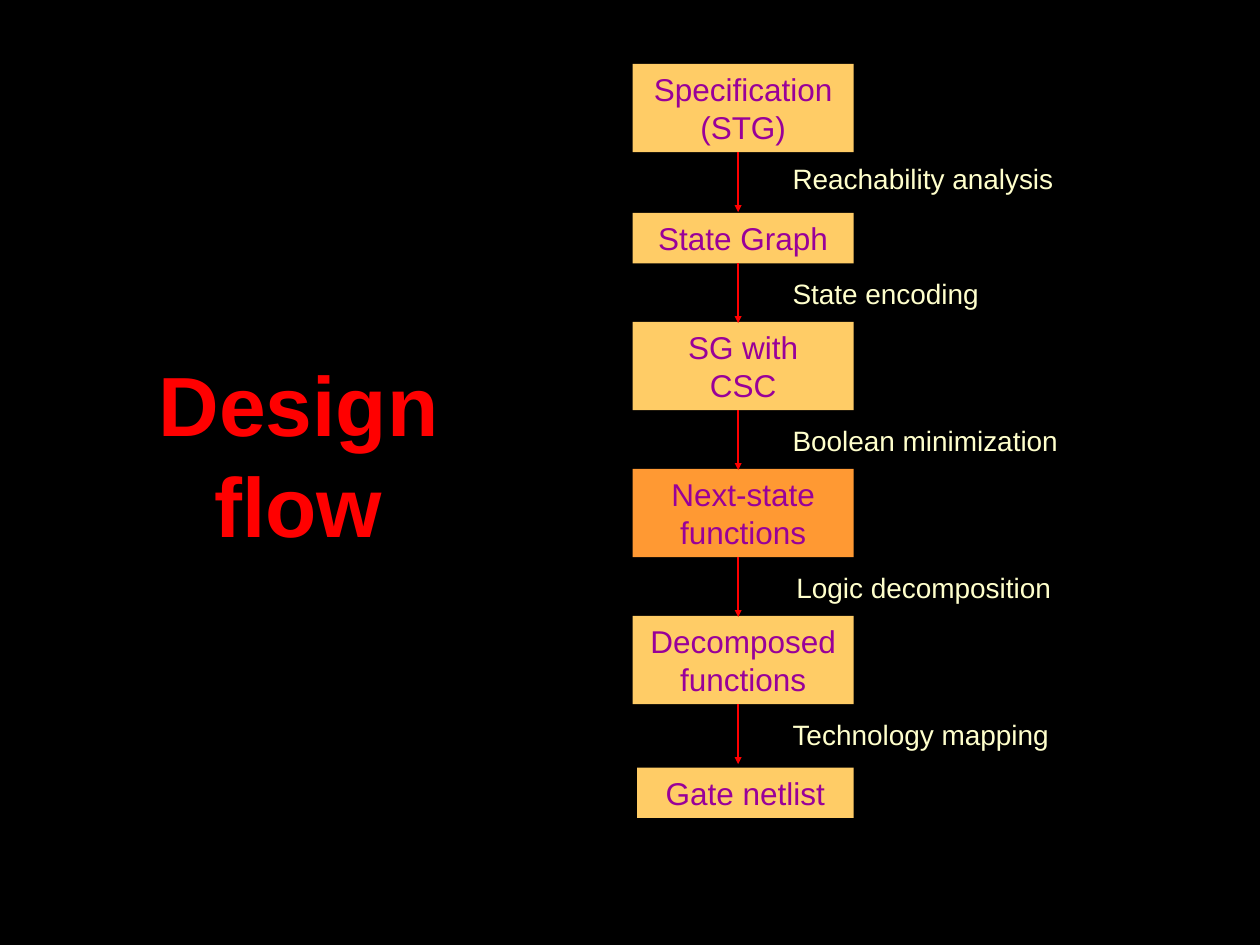
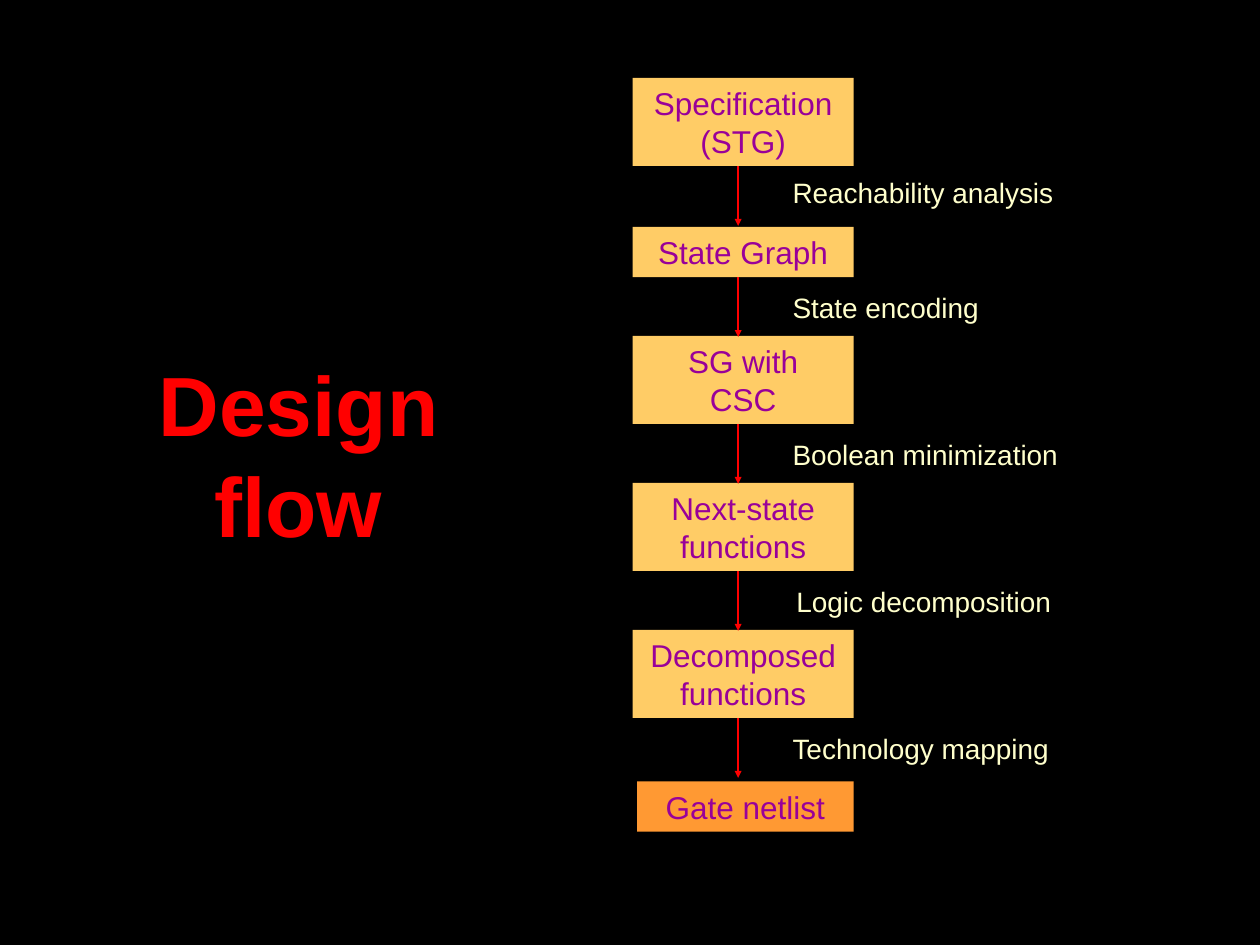
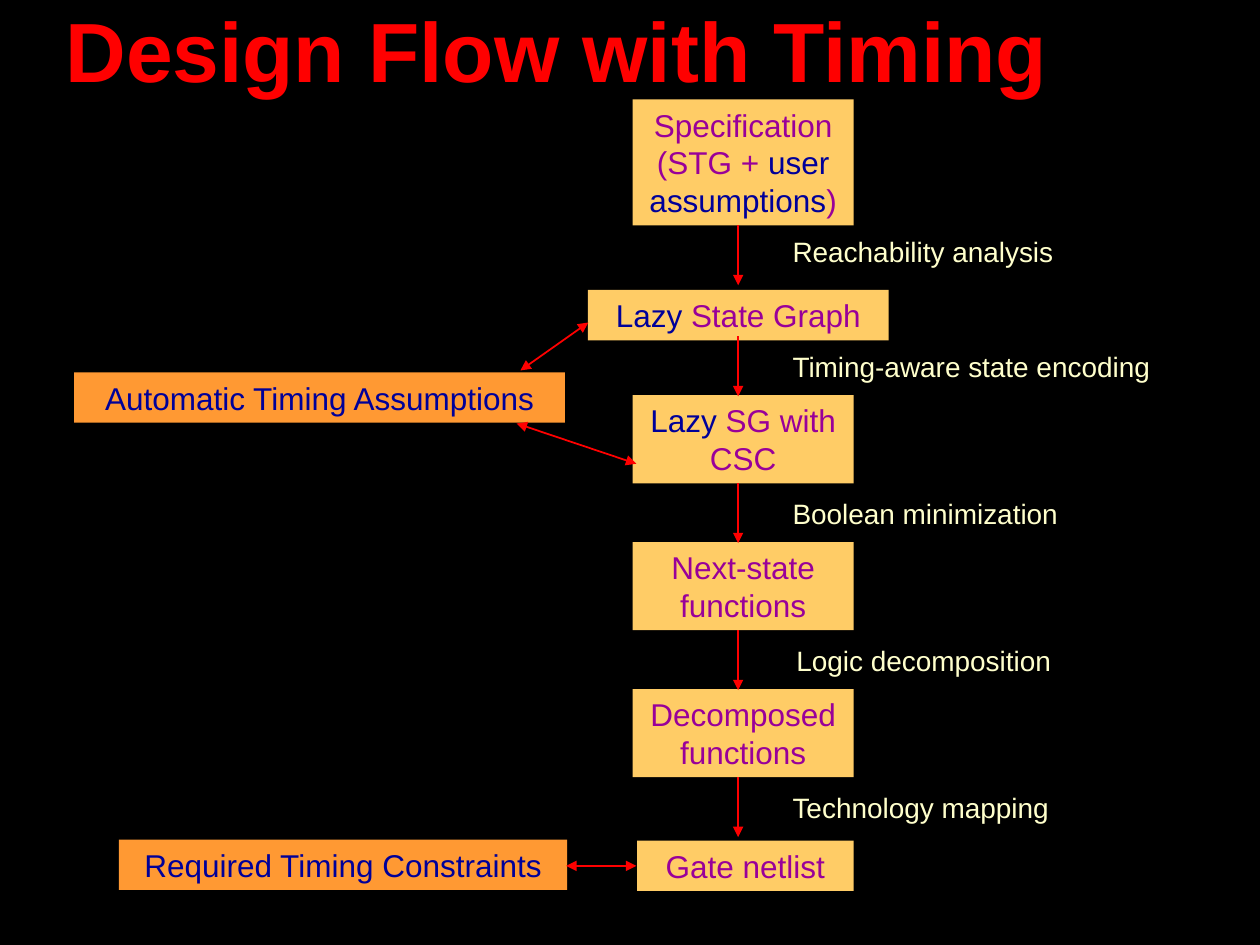
from pptx import Presentation
from pptx.dml.color import RGBColor
from pptx.enum.shapes import MSO_CONNECTOR as Line, MSO_SHAPE as Preset
from pptx.enum.text import MSO_ANCHOR as Anchor, MSO_AUTO_SIZE as AutoSize, PP_ALIGN as Align
from pptx.oxml.ns import qn
from pptx.util import Pt
from lxml.etree import SubElement

FONT = "Arial"
BLACK, RED, CREAM = "000000", "FF0000", "FFFFCC"
PURPLE, NAVY = "990099", "000099"
SAND, ORANGE = "FFCC66", "FF9933"

STAGES = ["Specification\n(STG)", "State Graph", "SG with\nCSC",
          "Next-state\nfunctions", "Decomposed\nfunctions", "Gate netlist"]
TIMED_STAGES = [
    [("Specification\n(STG + ", PURPLE), ("user\nassumptions", NAVY), (")", PURPLE)],
    [("Lazy", NAVY), (" State Graph", PURPLE)],
    [("Lazy", NAVY), (" SG with\nCSC", PURPLE)],
    *STAGES[3:],
]
STEPS = ["Reachability analysis", "State encoding", "Boolean minimization",
         "Logic decomposition", "Technology mapping"]
TIMED_STEPS = [STEPS[0], "Timing-aware state encoding", *STEPS[2:]]

SIDE_TITLE = dict(title="Design\nflow", title_box=(70.6, 198, 200, 122.4), align=Align.CENTER)
FLOWS = [
    dict(SIDE_TITLE, stages=STAGES, steps=STEPS, current="Next-state\nfunctions", shift=0),
    dict(SIDE_TITLE, stages=STAGES, steps=STEPS, current="Gate netlist", shift=7.9),
    dict(title="Design Flow with Timing", title_box=(30.2, -4.3, 689.8, 64.8), align=Align.LEFT,
         stages=TIMED_STAGES, steps=TIMED_STEPS, current=None, shift=41.8, head_size="med"),
]
TIMING_NOTES = [
    ("Required Timing Constraints", (67.9, 479.8, 256.3)),
    ("Automatic Timing Assumptions", (42.4, 212.8, 280.4)),
]
TIMING_LINKS = [((295.2, 242), (363.6, 265)), ((297.4, 211.7), (336.2, 184.3)),
                ((323.5, 494.8), (363.6, 494.8))]

STAGE_LEFT, STAGE_WIDTH = 361.6, 126.2
WIDE_STAGE = (336, 171.8)
LAST_STAGE = (364.1, 123.7)
STAGE_BOTTOMS = [87, 150.5, 234.4, 318.4, 402.4, 467.4]
ARROW_LEFT, ARROW_LENGTH = 421.8, 34.2
STEP_LEFTS = [445.8, 445.8, 445.8, 448, 445.8]
STEP_DROPS = [1.6, 4, 4, 4, 4]
PAD, LINE_HEIGHT = 3.6, 21.6


def rgb(code):
    return RGBColor.from_string(code)


def write(shape, text, size=18, color=PURPLE, bold=False, align=Align.LEFT, wrap=True):
    frame = shape.text_frame
    frame.auto_size = AutoSize.NONE
    frame.word_wrap = wrap
    frame.vertical_anchor = Anchor.TOP
    frame.margin_left = frame.margin_right = Pt(7.2)
    frame.margin_top, frame.margin_bottom = Pt(PAD), Pt(0)
    paragraph = frame.paragraphs[0]
    paragraph.alignment = align
    paragraph.line_spacing = Pt(size * 1.2)
    paragraph.space_before = Pt(0)
    runs = [(text, color)] if isinstance(text, str) else text
    for words, run_color in runs:
        for number, line in enumerate(words.split("\n")):
            if number:
                paragraph.add_line_break()
            run = paragraph.add_run()
            run.text = line
            run.font.name, run.font.size, run.font.bold = FONT, Pt(size), bold
            run.font.color.rgb = rgb(run_color)


def add_stage(slide, text, left, top, width, height, fill=SAND, color=PURPLE):
    stage = slide.shapes.add_shape(Preset.RECTANGLE, Pt(left), Pt(top), Pt(width), Pt(height))
    stage.shadow.inherit = False
    stage.fill.solid()
    stage.fill.fore_color.rgb = rgb(fill)
    stage.line.fill.background()
    write(stage, text, color=color, align=Align.CENTER, wrap=False)


def add_arrow(slide, start, end, size="med", both=False):
    arrow = slide.shapes.add_connector(Line.STRAIGHT, *map(Pt, start + end))
    arrow.line.color.rgb = rgb(RED)
    arrow.line.width = Pt(1)
    outline = arrow.line._get_or_add_ln()
    for tag in ["a:headEnd", "a:tailEnd"] if both else ["a:tailEnd"]:
        SubElement(outline, qn(tag), type="triangle", w=size, len=size)
    SubElement(arrow._element.spPr, qn("a:effectLst"))


def add_flow(deck, title, title_box, align, stages, steps, current, shift, head_size="sm"):
    slide = deck.slides.add_slide(deck.slide_layouts[5])
    heading = slide.shapes.title
    heading.left, heading.top, heading.width, heading.height = map(Pt, title_box)
    write(heading, title, size=48, color=RED, bold=True, align=align)

    for number, (stage, bottom) in enumerate(zip(stages, STAGE_BOTTOMS)):
        words = stage if isinstance(stage, str) else "".join(run[0] for run in stage)
        height = 2 * PAD + LINE_HEIGHT * (words.count("\n") + 1)
        left, width = STAGE_LEFT, STAGE_WIDTH
        if words == "Lazy State Graph":
            left, width = WIDE_STAGE
            bottom += 2.2
        elif number == len(stages) - 1:
            left, width = LAST_STAGE
        add_stage(slide, stage, left, bottom + shift - height, width, height,
                  fill=ORANGE if stage == current else SAND)

    for step, left, drop, bottom in zip(steps, STEP_LEFTS, STEP_DROPS, STAGE_BOTTOMS):
        top = bottom + shift
        label = slide.shapes.add_textbox(Pt(left), Pt(top + drop), Pt(240), Pt(26.4))
        write(label, step, size=16, color=CREAM)
        add_arrow(slide, (ARROW_LEFT, top), (ARROW_LEFT, top + ARROW_LENGTH), head_size)
    return slide


def main():
    deck = Presentation()
    deck.slide_width, deck.slide_height = Pt(720), Pt(540)
    backdrop = deck.slide_master.background.fill
    backdrop.solid()
    backdrop.fore_color.rgb = rgb(BLACK)

    for flow in FLOWS:
        slide = add_flow(deck, **flow)
    for note, (left, top, width) in TIMING_NOTES:
        add_stage(slide, note, left, top, width, 2 * PAD + LINE_HEIGHT, fill=ORANGE, color=NAVY)
    for start, end in TIMING_LINKS:
        add_arrow(slide, start, end, both=True)
    deck.save("out.pptx")


if __name__ == "__main__":
    main()
